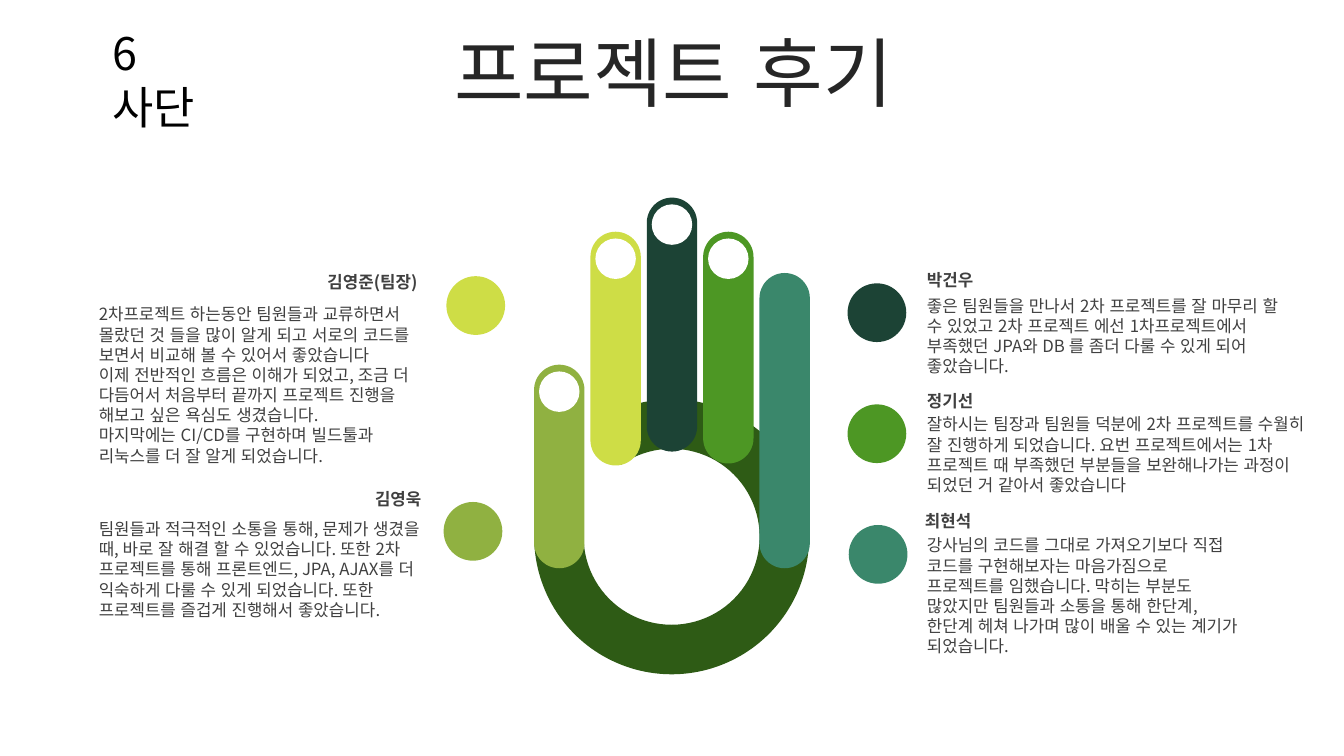
from dataclasses import dataclass

from lxml import etree
from pptx import Presentation
from pptx import util as u
from pptx.dml.color import RGBColor
from pptx.enum import lang, shapes, text
from pptx.oxml.ns import qn


@dataclass(frozen=True)
class Theme:
    font: str = "Noto Sans CJK KR"
    title_size: int = 54
    team_size: int = 32
    review_size: int = 12
    title: str = "262626"
    team: str = "000000"
    review: str = "404040"
    white: str = "FFFFFF"
    palm: str = "2E5B15"
    olive: str = "90B141"
    lime: str = "CEDD46"
    forest: str = "1C4335"
    green: str = "4D9724"
    teal: str = "3A876B"


THEME = Theme()
LEFT, CENTER, RIGHT = text.PP_ALIGN.LEFT, text.PP_ALIGN.CENTER, text.PP_ALIGN.RIGHT
DOT_SIZE = 1.48
NAME_HEIGHT = 0.76
FINGER_LEFT, FINGER_STEP, FINGER_WIDTH = 13.46, 1.42, 1.27
NAIL_SIZE, NAIL_DROP = 1.02, 0.17

# name, name box (left, top, width), name alignment, body box, dot (left, top), colour, body
REVIEWS = [
    ("김영준(팀장)", (2.24, 6.73, 8.53), RIGHT, (2.24, 7.54, 8.53, 4.37), (11.25, 6.96), THEME.lime, [
        "2차프로젝트 하는동안 팀원들과 교류하면서 몰랐던 것 들을 많이 알게 되고 "
        "서로의 코드를 보면서 비교해 볼 수 있어서 좋았습니다",
        "이제 전반적인 흐름은 이해가 되었고, 조금 더 다듬어서 처음부터 끝까지 "
        "프로젝트 진행을 해보고 싶은 욕심도 생겼습니다.\v"
        "마지막에는 CI/CD를 구현하며 빌드툴과 리눅스를 더 잘 알게 되었습니다."]),
    ("김영욱", (2.34, 12.19, 8.53), RIGHT, (2.24, 12.95, 8.64, 2.82), (11.18, 12.65), THEME.olive, [
        "팀원들과 적극적인 소통을 통해, 문제가 생겼을 때, 바로 잘 해결 할 수 있었습니다. "
        "또한 2차 프로젝트를 통해 프론트엔드, JPA, AJAX를 더 익숙하게 다룰 수 있게 되었습니다. "
        "또한 프로젝트를 즐겁게 진행해서 좋았습니다."]),
    ("박건우", (23.11, 6.68, 8.53), LEFT, (23.11, 7.32, 9.78, 1.8), (21.36, 7.14), THEME.forest, [
        "좋은 팀원들을 만나서 2차 프로젝트를 잘 마무리 할 수 있었고 2차 프로젝트 에선 "
        "1차프로젝트에서 부족했던 JPA와 DB 를 좀더 다룰 수 있게 되어 좋았습니다."]),
    ("정기선", (23.11, 9.73, 8.86), LEFT, (23.11, 10.31, 10.19, 2.31), (21.36, 10.19), THEME.green, [
        "잘하시는 팀장과 팀원들 덕분에 2차 프로젝트를 수월히 잘 진행하게 되었습니다. "
        "요번 프로젝트에서는 1차 프로젝트 때 부족했던 부분들을 보완해나가는 "
        "과정이 되었던 거 같아서 좋았습니다"]),
    ("최현석", (23.06, 12.75, 8.53), LEFT, (23.11, 13.36, 8.53, 2.82), (21.39, 13.23), THEME.teal, [
        "강사님의 코드를 그대로 가져오기보다 직접 코드를 구현해보자는 마음가짐으로 "
        "프로젝트를 임했습니다. 막히는 부분도 많았지만 팀원들과 소통을 통해 한단계, "
        "한단계 헤쳐 나가며 많이 배울 수 있는 계기가 되었습니다."]),
]

# top, height, colour, has a nail
FINGERS = [
    (9.19, 5.13, THEME.olive, True),
    (5.84, 5.89, THEME.lime, True),
    (4.98, 6.4, THEME.forest, True),
    (5.84, 5.84, THEME.green, True),
    (6.88, 7.44, THEME.teal, False),
]


def add_text(slide, box, lines, size, color, align=LEFT, bold=False):
    """Add a top-anchored text box that grows with its lines."""
    shape = slide.shapes.add_textbox(*map(u.Cm, box))
    frame = shape.text_frame
    frame.word_wrap = True
    frame.auto_size = text.MSO_AUTO_SIZE.SHAPE_TO_FIT_TEXT
    for index, line in enumerate(lines):
        paragraph = frame.add_paragraph() if index else frame.paragraphs[0]
        paragraph.text = line
        paragraph.alignment = align
        for run in paragraph.runs:
            font = run.font
            font.size = u.Pt(size)
            font.bold = bold
            font.color.rgb = RGBColor.from_string(color)
            font.name = THEME.font
            font.language_id = lang.MSO_LANGUAGE_ID.KOREAN
            east_asian = etree.Element(qn("a:ea"), typeface=THEME.font)
            font._element.find(qn("a:latin")).addnext(east_asian)
    return shape


def add_filled(slide, kind, box, color):
    shape = slide.shapes.add_shape(kind, *map(u.Cm, box))
    shape.shadow.inherit = False
    shape.fill.solid()
    shape.fill.fore_color.rgb = RGBColor.from_string(color)
    shape.line.fill.background()
    return shape


def add_circle(slide, left, top, size, color):
    add_filled(slide, shapes.MSO_SHAPE.OVAL, (left, top, size, size), color)


def add_title(slide):
    shape = add_text(slide, (0.89, 0.94, 32.16, 2.01), ["프로젝트 후기"],
                     THEME.title_size, THEME.title, CENTER)
    frame = shape.text_frame
    frame.auto_size = text.MSO_AUTO_SIZE.NONE
    frame.vertical_anchor = text.MSO_ANCHOR.MIDDLE
    frame.paragraphs[0].line_spacing = 0.9


def add_review(slide, name, name_box, align, body_box, dot, color, lines):
    add_text(slide, body_box, lines, THEME.review_size, THEME.review)
    add_text(slide, (*name_box, NAME_HEIGHT), [name], THEME.review_size, THEME.review, align, True)
    add_circle(slide, *dot, DOT_SIZE, color)


def add_hand(slide):
    palm = add_filled(slide, shapes.MSO_SHAPE.BLOCK_ARC, (FINGER_LEFT, 10.06, 6.93, 6.93), THEME.palm)
    palm.rotation = 180
    for index, value in enumerate((32.9, 0.71, 0.18)):
        palm.adjustments[index] = value
    for index, (top, height, color, has_nail) in enumerate(FINGERS):
        left = FINGER_LEFT + index * FINGER_STEP
        finger = add_filled(slide, shapes.MSO_SHAPE.ROUNDED_RECTANGLE,
                            (left, top, FINGER_WIDTH, height), color)
        finger.adjustments[0] = 0.5
        if has_nail:
            inset = (FINGER_WIDTH - NAIL_SIZE) / 2
            add_circle(slide, left + inset, top + NAIL_DROP, NAIL_SIZE, THEME.white)


def main():
    presentation = Presentation()
    presentation.slide_width, presentation.slide_height = u.Cm(33.87), u.Cm(19.05)
    slide = presentation.slides.add_slide(presentation.slide_layouts[6])
    add_title(slide)
    for review in REVIEWS:
        add_review(slide, *review)
    add_hand(slide)
    add_text(slide, (2.59, 0.53, 3.15, 1.63), ["6사단"], THEME.team_size, THEME.team)
    presentation.save("out.pptx")


if __name__ == "__main__":
    main()
